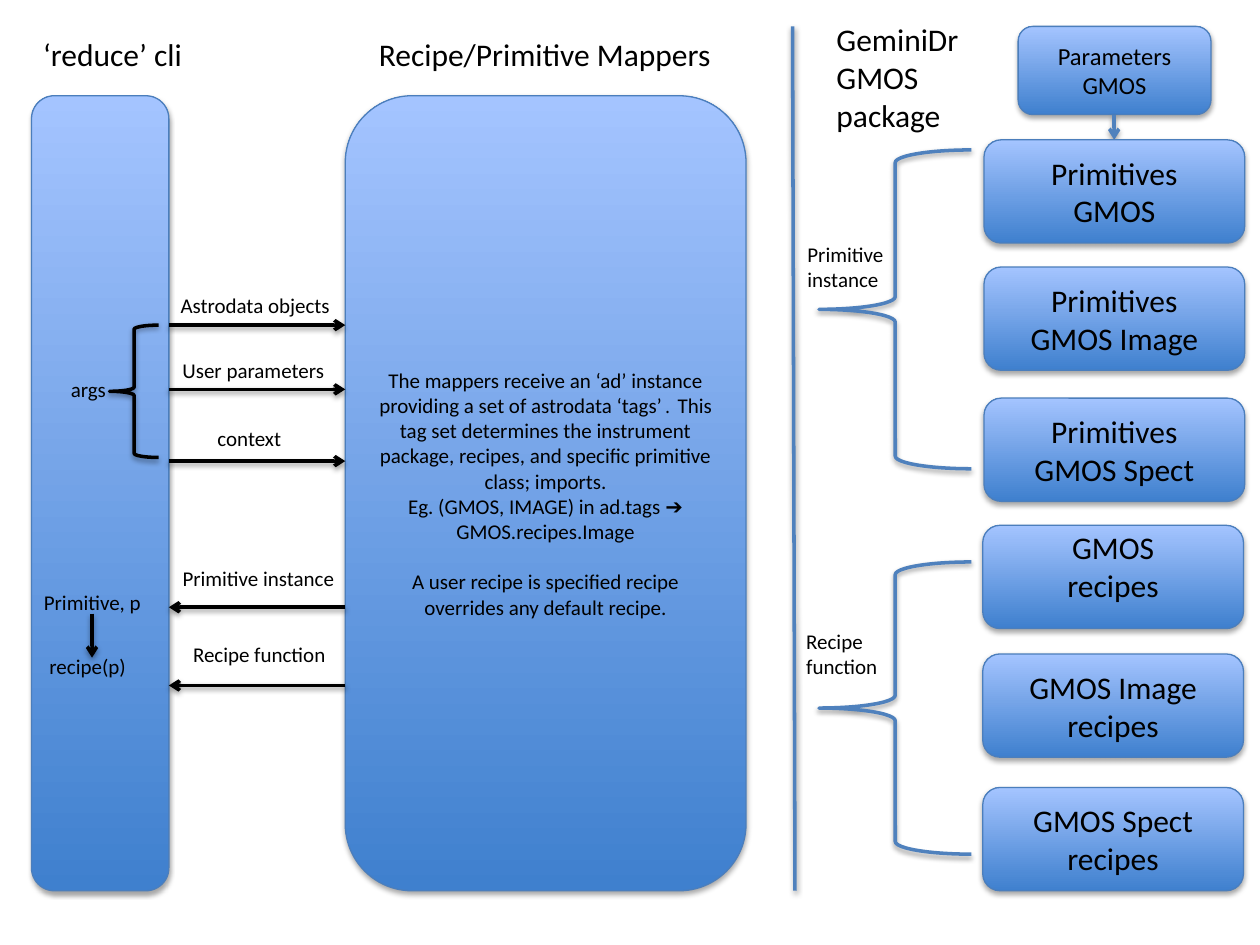
from lxml.etree import SubElement
from pptx import Presentation
from pptx.dml.color import RGBColor
from pptx.enum.shapes import MSO_CONNECTOR, MSO_SHAPE
from pptx.enum.text import MSO_ANCHOR, PP_ALIGN
from pptx.oxml.ns import qn
from pptx.util import Pt

BLACK, BLUE, EDGE = "000000", "4F81BD", "4B7EBC"
GRADIENT = ("3F80CE", "A4C4FF")


def color(value):
    """Turn a hex string into a colour."""
    return RGBColor.from_string(value)


def add_shadow(item, alpha, distance):
    """Give a shape or connector a soft shadow straight below."""
    effects = SubElement(item._element.spPr, qn("a:effectLst"))
    shadow = SubElement(effects, qn("a:outerShdw"), blurRad=str(Pt(3.1)),
                        dist=str(Pt(distance)), dir="5400000", rotWithShape="0")
    tint = SubElement(shadow, qn("a:srgbClr"), val=BLACK)
    SubElement(tint, qn("a:alpha"), val=str(alpha * 1000))


def set_line(item, value, width):
    """Set the line colour and width."""
    item.line.color.rgb = color(value)
    item.line.width = Pt(width)


def write(frame, paragraphs, size, align):
    """Fill a frame with paragraphs, each a string or a list of (text, size, font)."""
    frame.word_wrap = True
    for index, content in enumerate(paragraphs):
        para = frame.paragraphs[0] if index == 0 else frame.add_paragraph()
        para.alignment = align
        spans = [(content, size, "Calibri")] if isinstance(content, str) else content
        for text, span_size, font in spans:
            span = para.add_run()
            span.text = text
            span.font.size = Pt(span_size)
            span.font.name = font
            span.font.color.rgb = color(BLACK)


def add_box(page, left, top, width, height, paragraphs=(), size=18):
    """Add a rounded gradient box with centred text."""
    box = page.shapes.add_shape(MSO_SHAPE.ROUNDED_RECTANGLE, Pt(left), Pt(top), Pt(width), Pt(height))
    box.fill.gradient()
    box.fill.gradient_angle = 90
    for stop, value in zip(box.fill.gradient_stops, GRADIENT):
        stop.color.rgb = color(value)
    set_line(box, EDGE, 0.75)
    add_shadow(box, 35, 1.8)
    box.text_frame.vertical_anchor = MSO_ANCHOR.MIDDLE
    write(box.text_frame, paragraphs, size, PP_ALIGN.CENTER)
    return box


def add_label(page, left, top, width, lines, size=12):
    """Add a plain text box."""
    height = 7.2 + len(lines) * size * 1.22
    label = page.shapes.add_textbox(Pt(left), Pt(top), Pt(width), Pt(height))
    write(label.text_frame, lines, size, PP_ALIGN.LEFT)


def add_line(page, start, end, value=BLACK, arrow=True):
    """Add a straight line, with an arrowhead at its end if wanted."""
    line = page.shapes.add_connector(MSO_CONNECTOR.STRAIGHT, *map(Pt, start + end))
    set_line(line, value, 2)
    if arrow:
        SubElement(line._element.spPr.find(qn("a:ln")), qn("a:tailEnd"), type="arrow")
    add_shadow(line, 38, 1.6)


def add_brace(page, left, top, width, height, value):
    """Add a left brace."""
    brace = page.shapes.add_shape(MSO_SHAPE.LEFT_BRACE, Pt(left), Pt(top), Pt(width), Pt(height))
    brace.fill.background()
    set_line(brace, value, 2)
    add_shadow(brace, 38, 1.6)


def add_reduce_and_mappers(page):
    """Draw the command line column, the mappers and the calls between them."""
    cli_right, mapper_left = 96.5, 197.3
    add_label(page, 17.5, 16.4, 120, ["‘reduce’ cli"], 18)
    add_label(page, 209.4, 16.4, 215, ["Recipe/Primitive Mappers"], 18)
    add_box(page, 18, 54.7, 78.5, 454.3)
    mapper = add_box(page, mapper_left, 54.7, 229, 454.3, [
        [("The mappers receive an ‘ad’ instance providing a set of astrodata ‘tags’", 12, "Calibri"),
         (".", 10, "Noto Sans Mono"),
         (" This tag set determines the instrument package, recipes, and specific "
          "primitive class; imports.", 12, "Calibri")],
        "Eg. (GMOS, IMAGE) in ad.tags ➔",
        "GMOS.recipes.Image",
        "A user recipe is specified recipe overrides any default recipe."], 12)
    mapper.text_frame.paragraphs[-1].space_before = Pt(14.4)

    for y in (185.8, 222.5, 263.5):
        add_line(page, (cli_right, y), (mapper_left, y))
    for y in (347, 391.7):
        add_line(page, (mapper_left, y), (cli_right, y))
    add_line(page, (52.6, 350.6), (52.6, 375.8))
    add_brace(page, 62.6, 185.8, 28.1, 75.6, BLACK)

    for left, top, width, text in (
            (96.1, 163.4, 105, "Astrodata objects"),
            (97.2, 200.9, 102, "User parameters"),
            (117.2, 239.8, 56, "context"),
            (97.2, 319.7, 106, "Primitive instance"),
            (103.2, 362.9, 96, "Recipe function"),
            (18, 333.4, 75, "Primitive, p"),
            (21.2, 370.1, 75, "recipe(p)"),
            (33.4, 211.7, 47, "args")):
        add_label(page, left, top, width, [text])


def add_package(page):
    """Draw the instrument package with its primitives and recipes."""
    add_line(page, (452.9, 15.1), (454.3, 509), BLUE, arrow=False)
    add_label(page, 470.9, 7.9, 89, ["GeminiDr", "GMOS", "package"], 18)
    add_box(page, 581.8, 15.1, 110.2, 50.4, ["Parameters", "GMOS"], 14)
    add_line(page, (636.7, 65.5), (636.7, 79.9), BLUE)
    boxes = [add_box(page, left, top, 149, 59, lines) for left, top, lines in (
        (562.3, 79.9, ["Primitives", "GMOS"]),
        (562.3, 152.6, ["Primitives", "GMOS Image"]),
        (562.3, 227.5, ["Primitives", "GMOS Spect"]),
        (561.6, 300.2, ["GMOS", "recipes"]),
        (561.6, 373.7, ["GMOS Image", "recipes"]),
        (561.6, 450, ["GMOS Spect", "recipes"]))]
    boxes[3].text_frame.margin_bottom = Pt(15.8)
    for top, height, label_left, label_top, first, second in (
            (85.7, 182.2, 454.3, 134.6, "Primitive", "instance"),
            (321.1, 167, 453.6, 355.7, "Recipe", "function")):
        add_brace(page, 468, top, 87.1, height, BLUE)
        add_label(page, label_left, label_top, 63, [first, second])


def main():
    """Build and save the slide."""
    deck = Presentation()
    deck.slide_width, deck.slide_height = Pt(720), Pt(540)
    page = deck.slides.add_slide(deck.slide_layouts[6])
    add_reduce_and_mappers(page)
    add_package(page)
    deck.save("out.pptx")


main()
